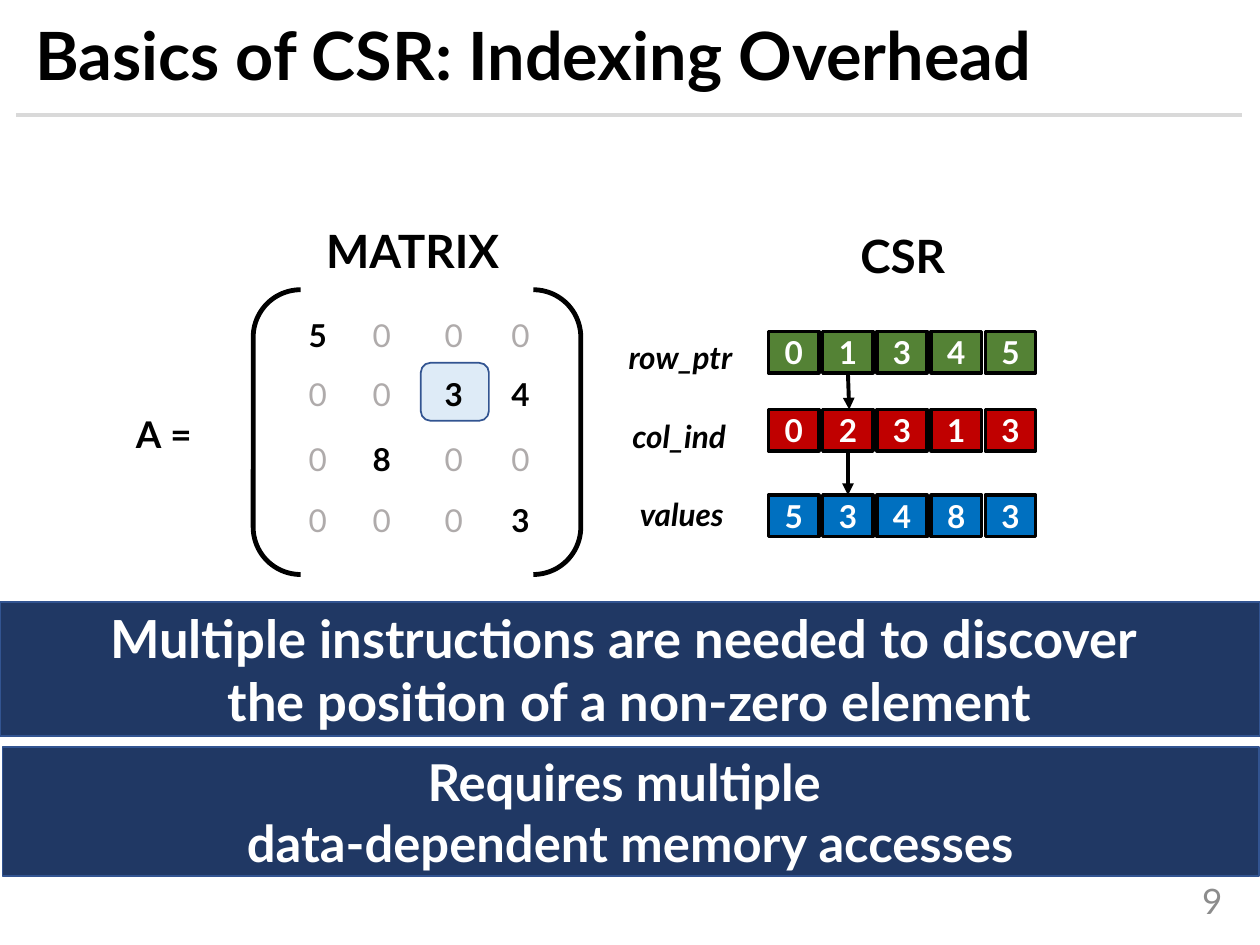
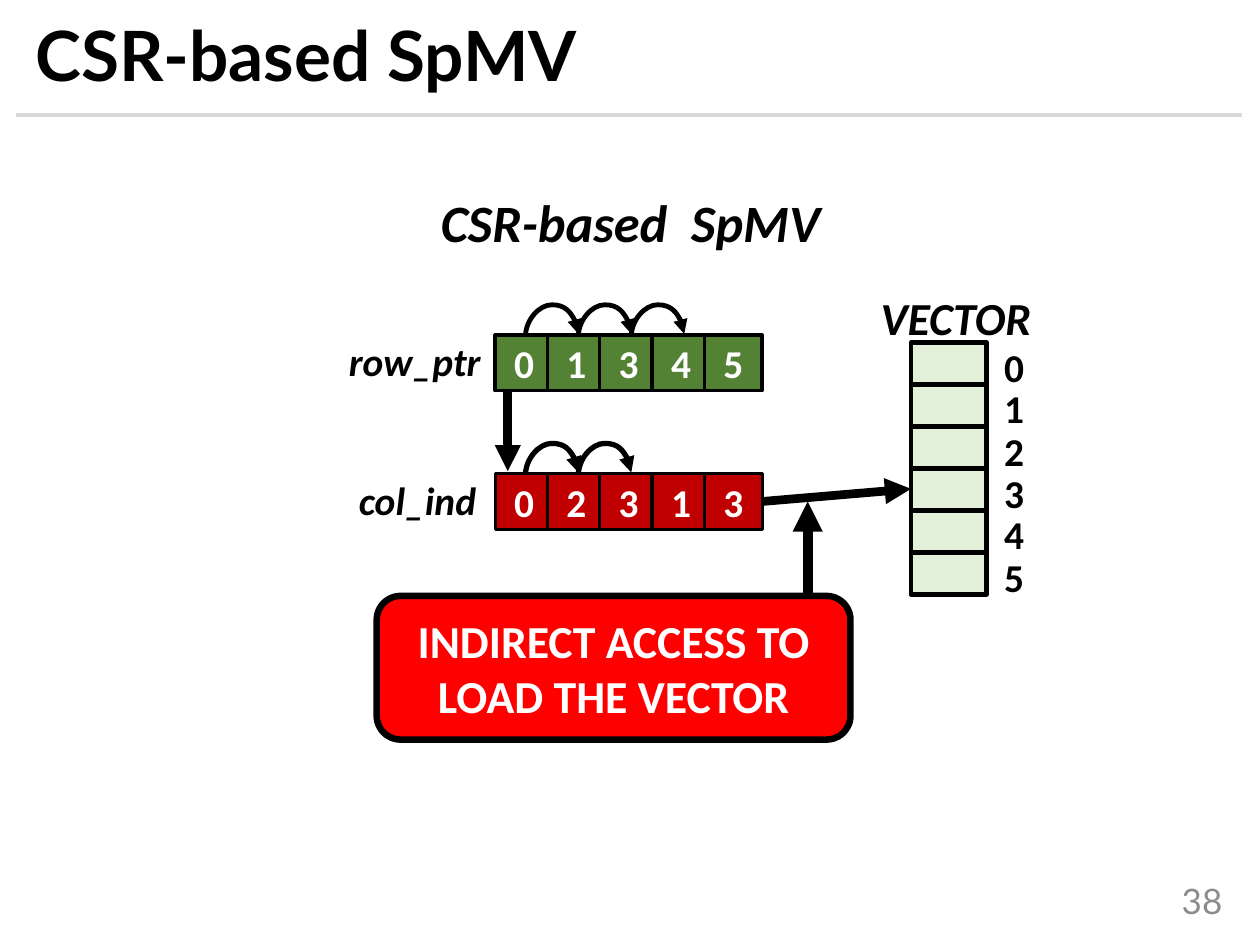
"""Builds two slides on CSR indexing overhead and CSR-based SpMV."""
from lxml.etree import SubElement
from pptx import Presentation
from pptx.dml.color import RGBColor
from pptx.enum.shapes import MSO_CONNECTOR as LINK, MSO_SHAPE as SHAPE
from pptx.enum.text import MSO_ANCHOR as ANCHOR, MSO_AUTO_SIZE as FIT, PP_ALIGN as ALIGN
from pptx.oxml.ns import qn
from pptx.util import Inches, Pt

COLORS = {
    "black": "000000", "white": "FFFFFF", "rule": "D9D9D9", "number": "8C8C8C",
    "zero": "AFABAB", "row_ptr": "548235", "col_ind": "C00000", "values": "0070C0",
    "highlight": "DEEBF7", "edge": "325491", "banner": "203864",
    "vector": "E2F0D9", "alert": "FF0000",
}
PALETTE = {name: RGBColor.from_string(code) for name, code in COLORS.items()}


def add_box(page, at, lines=(), size=18, font="Lato", color="black", bold=True, italic=False,
            align=ALIGN.LEFT, anchor=ANCHOR.TOP, kind=None, fill=None, edge="black", weight=2):
    """Add a text box, or a preset shape when kind is given; kind "title" uses the placeholder."""
    place = [Inches(length) for length in at]
    if kind == "title":
        box = page.shapes.title
        box.left, box.top, box.width, box.height = place
    elif kind is None:
        box = page.shapes.add_textbox(*place)
    else:
        box = page.shapes.add_shape(kind, *place)
        box.shadow.inherit = False
        if fill:
            box.fill.solid()
            box.fill.fore_color.rgb = PALETTE[fill]
        else:
            box.fill.background()
        box.line.color.rgb = PALETTE[edge]
        box.line.width = Pt(weight)
    frame = box.text_frame
    frame.word_wrap = True
    frame.auto_size = FIT.NONE
    frame.vertical_anchor = anchor
    for index, line in enumerate(lines):
        para = frame.add_paragraph() if index else frame.paragraphs[0]
        para.alignment = align
        if kind == "title":
            para.line_spacing = 0.9
        span = para.add_run()
        span.text = line
        span.font.name = font
        span.font.size = Pt(size)
        span.font.bold = bold
        span.font.italic = italic
        span.font.color.rgb = PALETTE[color]
    return box


def add_line(page, start, end, weight, color="black", arrow=True, kind=LINK.STRAIGHT):
    """Add a connector without shadow, with an arrowhead at its end if wanted."""
    line = page.shapes.add_connector(kind, *[Inches(length) for length in (*start, *end)])
    line.line.color.rgb = PALETTE[color]
    line.line.width = Pt(weight)
    if arrow:
        SubElement(line.line._get_or_add_ln(), qn("a:tailEnd"), type="triangle")
    SubElement(line._element.spPr, qn("a:effectLst"))
    return line


deck = Presentation()
deck.slide_width, deck.slide_height = Inches(10), Inches(7.5)
pages = []
for title, title_size, number in (("Basics of CSR: Indexing Overhead", 38, "9"),
                                  ("CSR-based SpMV", 39.6, "38")):
    page = deck.slides.add_slide(deck.slide_layouts[5])
    add_line(page, (0.13, 0.91), (9.86, 0.91), 2.25, "rule", arrow=False)
    add_box(page, (0.18, 0.14, 9.73, 0.66), [title], title_size,
            anchor=ANCHOR.MIDDLE, kind="title")
    add_box(page, (8.72, 6.95, 1.08, 0.4), [number], 20, color="number", bold=False,
            align=ALIGN.RIGHT, anchor=ANCHOR.MIDDLE)
    pages.append(page)
basics, spmv = pages
centered = {"align": ALIGN.CENTER, "anchor": ANCHOR.MIDDLE, "color": "white"}

add_box(basics, (2.49, 1.72, 1.7, 0.54), ["MATRIX"], 26.2)
add_box(basics, (6.73, 1.76, 0.97, 0.54), ["CSR"], 26.2)
add_box(basics, (0.98, 3.22, 0.87, 0.45), ["Α ="], 21)
add_box(basics, (2.01, 2.3, 2.6, 2.26), kind=SHAPE.DOUBLE_BRACKET, weight=2.75)
add_box(basics, (3.34, 2.88, 0.54, 0.46), kind=SHAPE.ROUNDED_RECTANGLE,
        fill="highlight", edge="edge", weight=1)
for top, entries in zip((2.46, 2.93, 3.44, 3.93), ("5000", "0034", "0800", "0003")):
    for left, entry in zip((2.35, 2.86, 3.43, 3.96), entries):
        filled = entry != "0"
        add_box(basics, (left, top, 0.39, 0.4), [entry],
                color="black" if filled else "zero", bold=filled)

for name, digits, label_at, top in (("row_ptr", "01345", (4.89, 2.63, 1.14, 0.4), 2.63),
                                    ("col_ind", "02313", (4.92, 3.26, 1.06, 0.4), 3.25),
                                    ("values", "53483", (4.98, 3.88, 1.02, 0.4), 3.93)):
    add_box(basics, label_at, [name], italic=True)
    for column, digit in enumerate(digits):
        add_box(basics, (6.1 + 0.43 * column, top, 0.4, 0.33), [digit],
                kind=SHAPE.RECTANGLE, fill=name, **centered)
add_line(basics, (6.73, 2.97), (6.74, 3.25), 2.25)
add_line(basics, (6.73, 3.59), (6.73, 3.93), 2.25)

for at, size, lines in (
        ((0.02, 5.93, 9.97, 1.02), 29,
         ["Requires multiple ", "data-dependent memory accesses"]),
        ((0, 4.78, 10, 1.06), 30,
         ["Multiple instructions are needed to discover ", "the position of a non-zero element"])):
    add_box(basics, at, lines, size, kind=SHAPE.RECTANGLE, fill="banner",
            edge="edge", weight=1, **centered)

add_box(spmv, (3.4, 1.46, 4.05, 0.61), ["CSR-based  SpMV"], 30, "Calibri", italic=True)
add_box(spmv, (6.89, 2.25, 1.43, 0.54), ["VECTOR"], 26.2, "Calibri", italic=True)
for index in range(6):
    add_box(spmv, (7.23, 2.72 + index / 3, 0.6, 0.33), kind=SHAPE.RECTANGLE,
            fill="vector", weight=2.75)
    add_box(spmv, (7.87, 2.67 + index / 3, 0.31, 0.48), [str(index)], 22.5, "Calibri",
            align=ALIGN.CENTER)

add_line(spmv, (6.05, 3.98), (7.23, 3.88), 5)
add_box(spmv, (2.99, 4.73, 3.76, 1.14), ["INDIRECT ACCESS TO LOAD THE VECTOR"], 26.2, "Calibri",
        kind=SHAPE.ROUNDED_RECTANGLE, fill="alert", weight=3.75, **centered)
add_line(spmv, (6.41, 4.73), (6.41, 3.98), 5.75)

for name, digits, label_at, top, weight, hops, hop_weight in (
        ("row_ptr", "01345", (2.67, 2.63, 1.39, 0.48), 2.66, 2, 3, 2.75),
        ("col_ind", "02313", (2.75, 3.73, 1.24, 0.48), 3.76, 1.75, 2, 3)):
    add_box(spmv, label_at, [name], 22.5, "Calibri", italic=True)
    for column, digit in enumerate(digits):
        add_box(spmv, (3.93 + 1.66 * column / 4, top, 0.46, 0.44), [digit], 22.5, "Calibri",
                kind=SHAPE.RECTANGLE, fill=name, weight=weight, **centered)
    for hop in range(hops):
        middle = 4.38 + 0.42 * hop
        arc = add_line(spmv, (middle + 0.01, top + 0.21), (middle - 0.01, top - 0.21),
                       hop_weight, kind=LINK.CURVE)
        arc._element.spPr.find(qn("a:xfrm")).set("rot", "5400000")
        geometry = arc._element.spPr.find(qn("a:prstGeom"))
        SubElement(geometry.find(qn("a:avLst")), qn("a:gd"), name="adj1", fmla="val 1250000")
add_line(spmv, (4.03, 3.1), (4.03, 3.74), 5)

deck.save("out.pptx")
